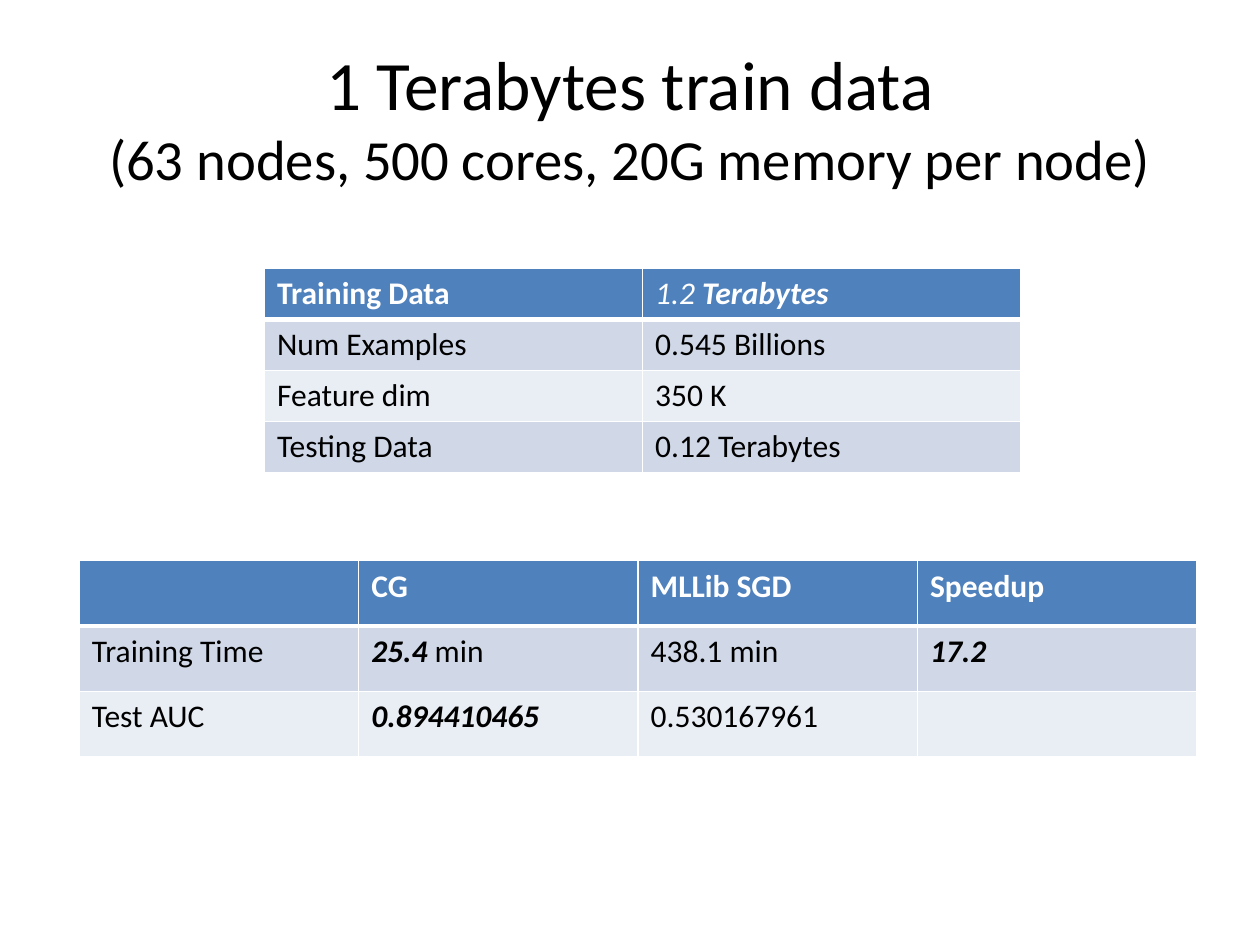
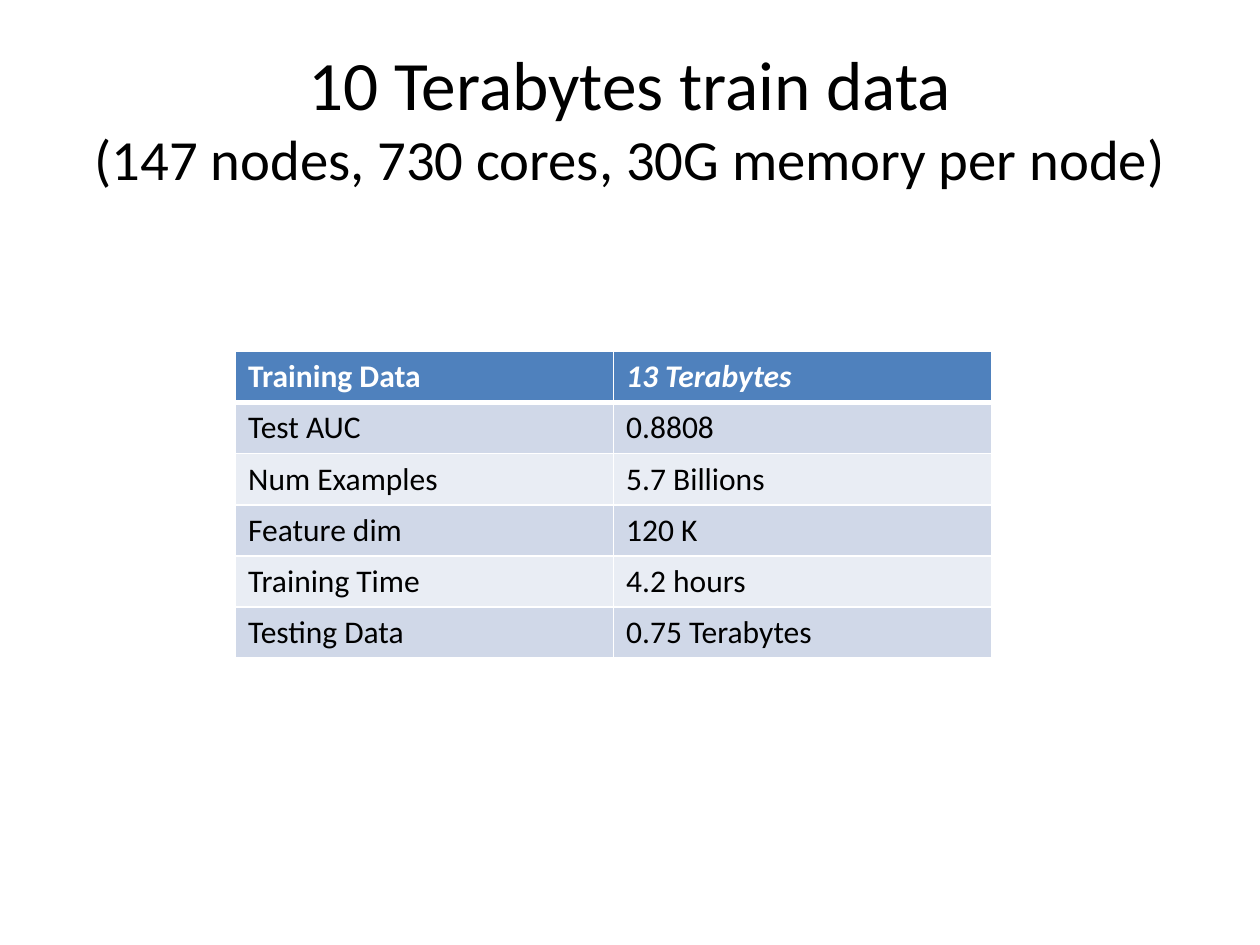
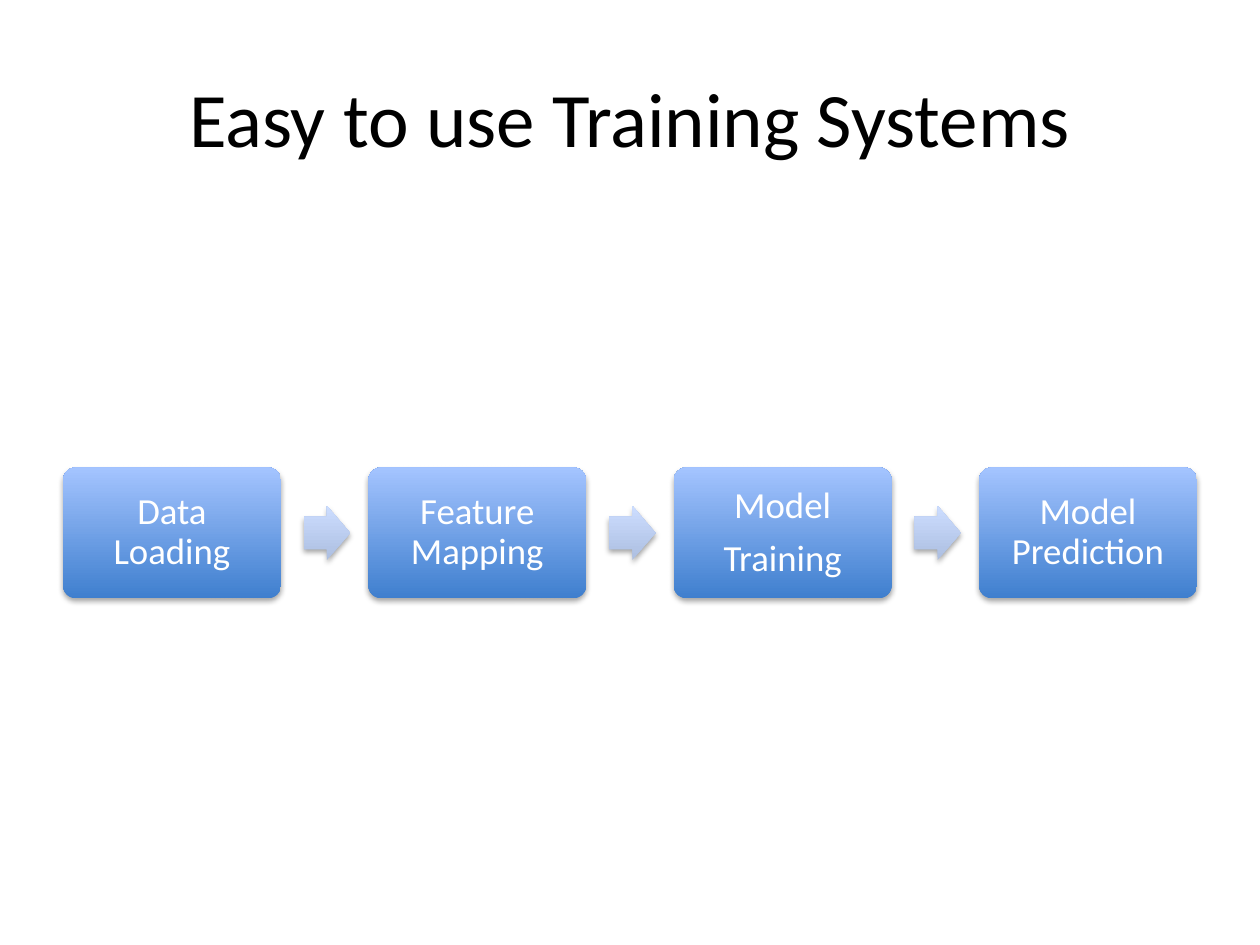
from dataclasses import dataclass

from lxml import etree
from pptx import Presentation
from pptx.dml.color import RGBColor
from pptx.enum.shapes import MSO_SHAPE as Preset
from pptx.enum.text import MSO_ANCHOR as Anchor, MSO_AUTO_SIZE as AutoSize, PP_ALIGN as Align
from pptx.oxml import parse_xml
from pptx.oxml.ns import nsdecls, qn
from pptx.util import Inches, Pt


@dataclass(frozen=True)
class Theme:
    font: str = "Calibri"
    ink: str = "000000"
    paper: str = "FFFFFF"
    header: str = "4F81BD"
    bands: tuple = ("D0D8E8", "E9EDF4")
    step_gradient: tuple = ("3F7FCE", "A4C4FF")
    arrow_gradient: tuple = ("ADBFE1", "CCDDFF")
    title_size: float = 44
    long_title_size: float = 39.6
    subtitle_size: float = 32.4
    table_size: float = 18
    step_size: float = 21
    thin: float = 1
    thick: float = 3


@dataclass(frozen=True)
class Span:
    text: str
    bold: bool = False
    italic: bool = False


class Deck:
    """Holds the theme and the slide being built."""

    def __init__(self, theme):
        self.theme = theme
        self.presentation = Presentation()
        self.presentation.slide_width = Inches(10)
        self.presentation.slide_height = Inches(7.5)
        self.slide = None

    def add_run(self, paragraph, text, size, color, bold=False, italic=False):
        run = paragraph.add_run()
        run.text = text
        font = run.font
        font.name, font.size = self.theme.font, Pt(size)
        font.bold, font.italic = bold, italic
        font.color.rgb = RGBColor.from_string(color)

    def new_slide(self, title, subtitle=None):
        theme = self.theme
        title_only = self.presentation.slide_layouts[5]
        self.slide = self.presentation.slides.add_slide(title_only)
        shape = self.slide.shapes.title
        shape.left, shape.top = Inches(0.5), Inches(0.3)
        shape.width, shape.height = Inches(9), Inches(1.25)
        frame = shape.text_frame
        frame.auto_size = AutoSize.NONE
        frame.vertical_anchor = Anchor.MIDDLE
        paragraph = frame.paragraphs[0]
        paragraph.alignment = Align.CENTER
        size = theme.long_title_size if subtitle else theme.title_size
        self.add_run(paragraph, title, size, theme.ink)
        if subtitle:
            paragraph.add_line_break()
            self.add_run(paragraph, subtitle, theme.subtitle_size, theme.ink)

    def add_borders(self, cell, row):
        """White rules, with a thick one between header and body."""
        theme = self.theme
        widths = {"lnL": theme.thin, "lnR": theme.thin,
                  "lnT": theme.thick if row == 1 else theme.thin,
                  "lnB": theme.thick if row == 0 else theme.thin}
        properties = cell._tc.get_or_add_tcPr()
        for index, (side, width) in enumerate(widths.items()):
            properties.insert(index, parse_xml(
                f'<a:{side} {nsdecls("a")} w="{Pt(width)}"><a:solidFill>'
                f'<a:srgbClr val="{theme.paper}"/></a:solidFill></a:{side}>'))

    def add_table(self, left, top, width, row_height, rows):
        theme = self.theme
        table = self.slide.shapes.add_table(
            len(rows), len(rows[0]), Inches(left), Inches(top),
            Inches(width), Inches(row_height * len(rows))).table
        for row, values in enumerate(rows):
            is_header = row == 0
            fill = theme.header if is_header else theme.bands[(row - 1) % 2]
            color = theme.paper if is_header else theme.ink
            for column, value in enumerate(values):
                cell = table.cell(row, column)
                cell.fill.solid()
                cell.fill.fore_color.rgb = RGBColor.from_string(fill)
                self.add_borders(cell, row)
                # Plain strings take the row's default weight
                spans = [Span(value, bold=is_header)] if isinstance(value, str) else value
                for span in spans:
                    if span.text:
                        self.add_run(cell.text_frame.paragraphs[0], span.text,
                                     theme.table_size, color, span.bold, span.italic)

    def add_gradient_shape(self, preset, left, top, width, height, colors, adjustments):
        shape = self.slide.shapes.add_shape(
            preset, Inches(left), Inches(top), Inches(width), Inches(height))
        for index, value in enumerate(adjustments):
            shape.adjustments[index] = value
        shape.line.fill.background()
        shape.fill.gradient()
        shape.fill.gradient_angle = 90
        for stop, color in zip(shape.fill.gradient_stops, colors):
            stop.color.rgb = RGBColor.from_string(color)
        # Soft shadow just below the shape
        shape.shadow.inherit = False
        effects = shape._element.spPr.find(qn("a:effectLst"))
        shadow = etree.SubElement(
            effects, qn("a:outerShdw"), blurRad=str(Pt(3.1)), dist=str(Pt(1.8)),
            dir="5400000", rotWithShape="0")
        black = etree.SubElement(shadow, qn("a:srgbClr"), val=self.theme.ink)
        etree.SubElement(black, qn("a:alpha"), val="35000")
        return shape

    def add_step(self, left, top, width, height, lines):
        theme = self.theme
        shape = self.add_gradient_shape(Preset.ROUNDED_RECTANGLE, left, top, width, height,
                                        theme.step_gradient, [0.1])
        frame = shape.text_frame
        frame.word_wrap = True
        frame.vertical_anchor = Anchor.MIDDLE
        frame.margin_left = frame.margin_right = Inches(0.12)
        frame.margin_top = frame.margin_bottom = Inches(0.12)
        for index, line in enumerate(lines):
            paragraph = frame.add_paragraph() if index else frame.paragraphs[0]
            paragraph.alignment = Align.CENTER
            paragraph.line_spacing = 0.9
            paragraph.space_after = Pt(0.35 * theme.step_size)
            self.add_run(paragraph, line, theme.step_size, theme.paper)

    def add_process(self, left, top, width, steps):
        """Equal boxes across the width, with an arrow in each gap."""
        box_width, box_height = 1.73, 1.04
        arrow_width, arrow_height, arrow_gap = 0.37, 0.43, 0.18
        pitch = (width - box_width) / (len(steps) - 1)
        for index, lines in enumerate(steps):
            box_left = left + index * pitch
            self.add_step(box_left, top, box_width, box_height, lines)
            if index < len(steps) - 1:
                self.add_gradient_shape(
                    Preset.RIGHT_ARROW, box_left + box_width + arrow_gap,
                    top + (box_height - arrow_height) / 2, arrow_width, arrow_height,
                    self.theme.arrow_gradient, [0.6, 0.5])


def main():
    deck = Deck(Theme())

    # One terabyte: data set and results
    deck.new_slide("1 Terabytes train data", "(63 nodes, 500 cores, 20G memory per node)")
    deck.add_table(2.1, 2.13, 6, 0.405, [
        ["Training Data", [Span("1.2 ", italic=True), Span("Terabytes", True, True)]],
        ["Num Examples", "0.545 Billions"],
        ["Feature dim", "350 K"],
        ["Testing Data", "0.12 Terabytes"],
    ])
    deck.add_table(0.63, 4.45, 8.87, 0.52, [
        ["", "CG", "MLLib SGD", "Speedup"],
        ["Training Time", [Span("25.4", True, True), Span(" min")], "438.1 min",
         [Span("17.2", True, True)]],
        ["Test AUC", [Span("0.894410465", True, True)], "0.530167961", ""],
    ])

    # Ten terabytes: data set and results
    deck.new_slide("10 Terabytes train data", "(147 nodes, 730 cores, 30G memory per node)")
    deck.add_table(1.87, 2.79, 6, 0.405, [
        ["Training Data", [Span("13 Terabytes", True, True)]],
        ["Test AUC", "0.8808"],
        ["Num Examples", "5.7 Billions"],
        ["Feature dim", "120 K"],
        ["Training Time", "4.2 hours"],
        ["Testing Data", "0.75 Terabytes"],
    ])

    # Training pipeline
    deck.new_slide("Easy to use Training Systems")
    deck.add_process(0.5, 3.71, 9, [
        ["Data Loading"], ["Feature Mapping"], ["Model", "Training"], ["Model Prediction"],
    ])

    deck.presentation.save("out.pptx")


if __name__ == "__main__":
    main()
